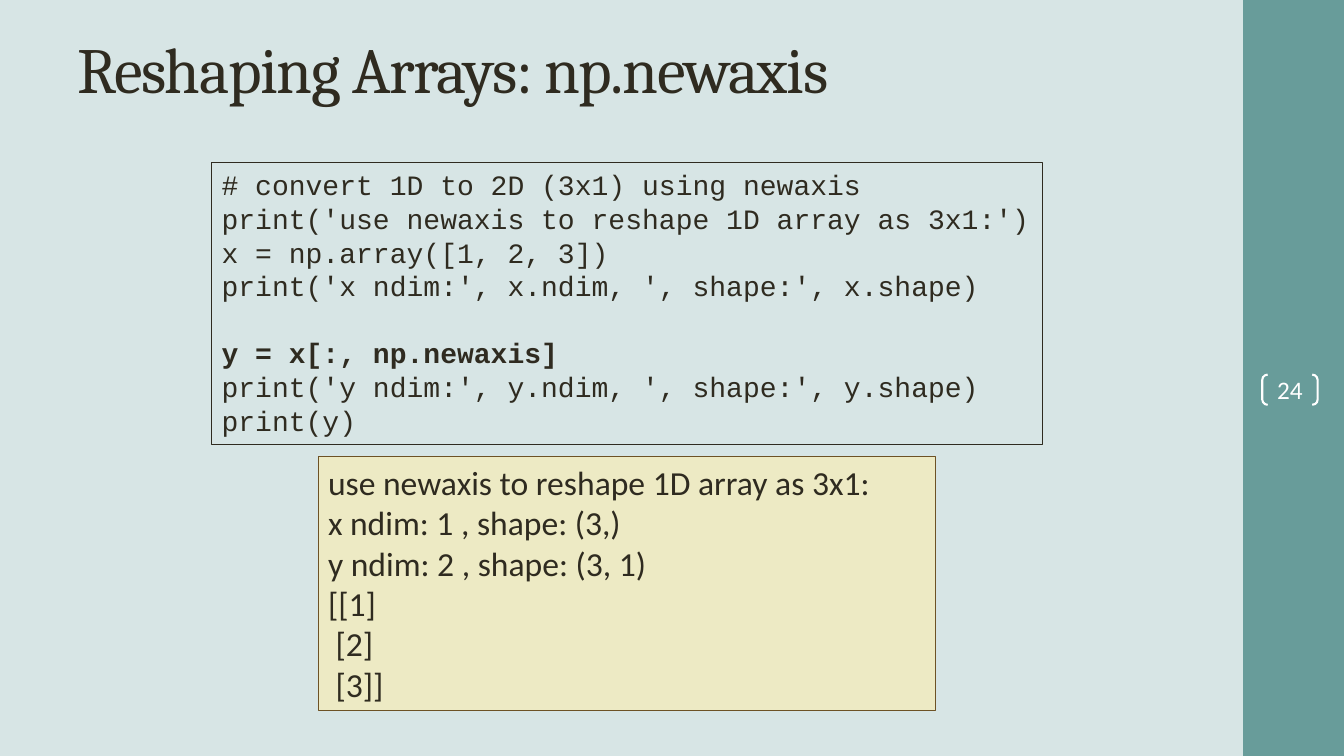
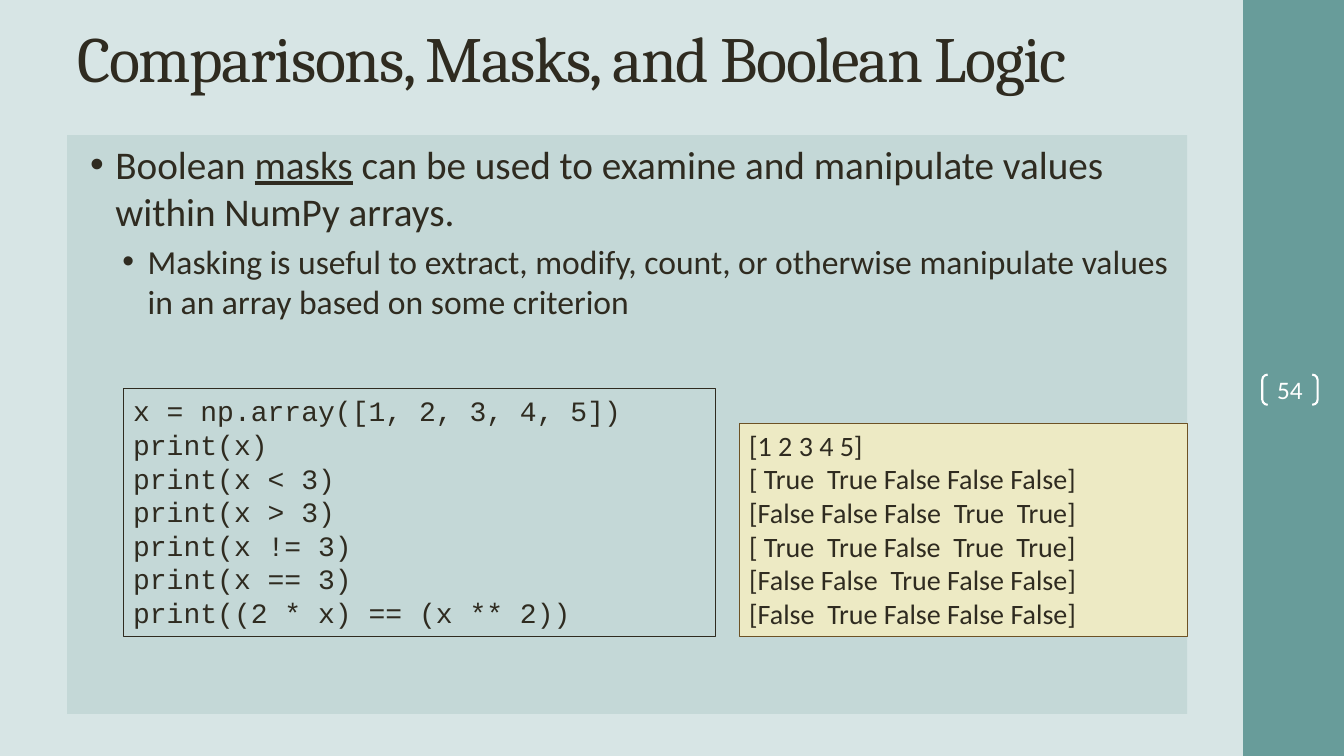
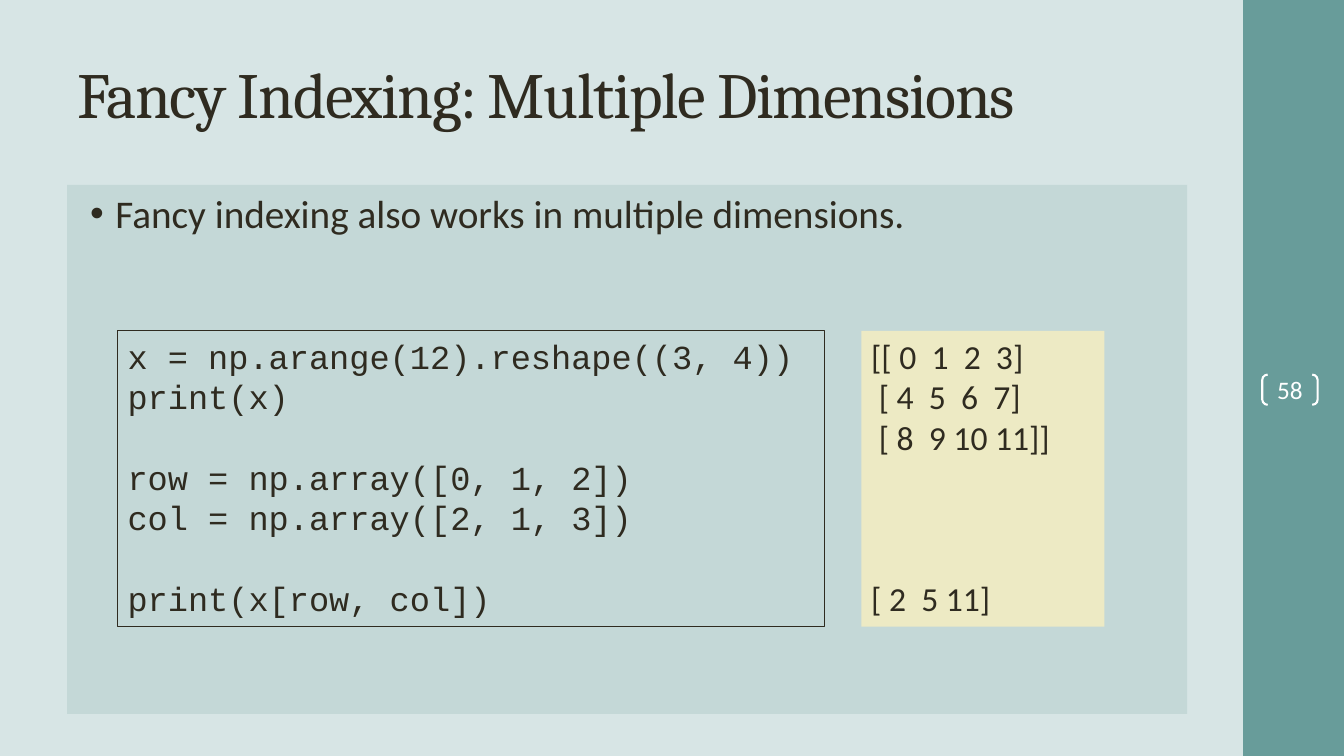
from dataclasses import dataclass

import lxml.etree
import pptx
import pptx.dml.color
import pptx.enum.shapes
import pptx.enum.text
import pptx.oxml.ns
import pptx.util

COLORS = {
    "page": "D7E5E5",
    "band": "689C9A",
    "panel": "C4D8D7",
    "output": "EDEAC4",
    "output_line": "6D5225",
    "ink": "2F2B20",
    "white": "FFFFFF",
}
TITLE_FONT, BODY_FONT, CODE_FONT = "Cambria", "Calibri", "Courier New"
WIDTH, HEIGHT = pptx.util.Inches(13.33), pptx.util.Inches(7.5)
COLUMNS, ROWS = 120, 90
MARGIN, CONTENT_WIDTH, CONTENT_BOTTOM = 6, 100, 85
LINE_HEIGHT = 1.2
BULLET_SIZES = (28, 24)
BULLET_INDENTS = (0.38, 0.7)
BULLET_HANG = 0.25
SHAPE = pptx.enum.shapes.MSO_SHAPE
ANCHOR = pptx.enum.text.MSO_ANCHOR
ALIGN = pptx.enum.text.PP_ALIGN


@dataclass(frozen=True)
class Area:
    """Left, top, width and height in grid columns and rows."""
    left: float
    top: float
    width: float
    height: float

    def lengths(self) -> tuple[int, int, int, int]:
        return (round(self.left * WIDTH / COLUMNS), round(self.top * HEIGHT / ROWS),
                round(self.width * WIDTH / COLUMNS), round(self.height * HEIGHT / ROWS))


@dataclass(frozen=True)
class Listing:
    """A box of code or of printed output; empty lines become gaps."""
    area: Area
    size: int
    text: str
    font: str = CODE_FONT
    fill: str | None = None
    line: str | None = "ink"
    bold_line: str = ""


@dataclass(frozen=True)
class Bullet:
    level: int
    spans: tuple[str, ...]
    underlined: str = ""


@dataclass(frozen=True)
class Page:
    title: str
    title_top: float
    title_height: float
    number: int
    listings: tuple[Listing, ...]
    bullets: tuple[Bullet, ...] = ()
    panel_top: float = 0


PAGES = (
    Page("Reshaping Arrays: np.newaxis", 2, 12.2, 24, (
        Listing(Area(28.4, 54.4, 55.1, 30.2), 24,
                "use newaxis to reshape 1D array as 3x1:\n"
                "x ndim: 1 , shape: (3,)\n"
                "y ndim: 2 , shape: (3, 1)\n"
                "[[1]\n"
                " [2]\n"
                " [3]]",
                BODY_FONT, "output", "output_line"),
        Listing(Area(18.9, 19.4, 74.2, 33.5), 20,
                "# convert 1D to 2D (3x1) using newaxis\n"
                "print('use newaxis to reshape 1D array as 3x1:')\n"
                "x = np.array([1, 2, 3])\n"
                "print('x ndim:', x.ndim, ', shape:', x.shape)\n"
                "\n"
                "y = x[:, np.newaxis]\n"
                "print('y ndim:', y.ndim, ', shape:', y.shape)\n"
                "print(y)",
                bold_line="y = x[:, np.newaxis]"),
    )),
    Page("Comparisons, Masks, and Boolean Logic", 2.2, 9.2, 54, (
        Listing(Area(11, 46.3, 52.9, 29.5), 20,
                "x = np.array([1, 2, 3, 4, 5])\n"
                "print(x)\n"
                "print(x < 3)\n"
                "print(x > 3)\n"
                "print(x != 3)\n"
                "print(x == 3)\n"
                "print((2 * x) == (x ** 2))"),
        Listing(Area(66, 50.4, 40, 25.4), 20,
                "[1 2 3 4 5]\n"
                "[ True  True False False False]\n"
                "[False False False  True  True]\n"
                "[ True  True False  True  True]\n"
                "[False False  True False False]\n"
                "[False  True False False False]",
                BODY_FONT, "output", "output_line"),
    ), (
        Bullet(0, ("Boolean ", "masks", " can be used to examine and manipulate "
                   "values within NumPy arrays."), "masks"),
        Bullet(1, ("Masking is useful to extract, modify, count, or otherwise "
                   "manipulate values in an array based on some criterion",)),
    ), 16.1),
    Page("Fancy Indexing: Multiple Dimensions", 3.6, 15, 58, (
        Listing(Area(10.5, 39.4, 63.1, 35.2), 24,
                "x = np.arange(12).reshape((3, 4))\n"
                "print(x)\n"
                "\n"
                "row = np.array([0, 1, 2])\n"
                "col = np.array([2, 1, 3])\n"
                "\n"
                "print(x[row, col])"),
        Listing(Area(76.9, 39.4, 21.7, 35.2), 24,
                "[[ 0  1  2  3]\n"
                " [ 4  5  6  7]\n"
                " [ 8  9 10 11]]\n"
                "\n\n\n"
                "[ 2  5 11]",
                BODY_FONT, "output", None),
    ), (
        Bullet(0, ("Fancy indexing also works in multiple dimensions.",)),
    ), 22),
)


def color(name: str) -> pptx.dml.color.RGBColor:
    return pptx.dml.color.RGBColor.from_string(COLORS[name])


def format_runs(para, font: str, size: float, ink: str = "ink") -> None:
    for span in para.runs:
        span.font.name = font
        span.font.size = pptx.util.Pt(size)
        span.font.color.rgb = color(ink)


def add_box(slide, area: Area, fill: str | None = None, line: str | None = None,
            line_width: float = 0.75, kind=SHAPE.RECTANGLE):
    box = slide.shapes.add_shape(kind, *area.lengths())
    box.shadow.inherit = False
    if fill:
        box.fill.solid()
        box.fill.fore_color.rgb = color(fill)
    else:
        box.fill.background()
    if line:
        box.line.color.rgb = color(line)
        box.line.width = pptx.util.Pt(line_width)
    else:
        box.line.fill.background()
    box.text_frame.word_wrap = True
    box.text_frame.vertical_anchor = ANCHOR.TOP
    return box


def next_paragraph(frame, index: int, size: float, space: float):
    para = frame.add_paragraph() if index else frame.paragraphs[0]
    para.alignment = ALIGN.LEFT
    para.line_spacing = pptx.util.Pt(size * LINE_HEIGHT)
    if index:
        para.space_before = pptx.util.Pt(space)
    return para


def add_title(slide, page: Page) -> None:
    title = slide.shapes.title
    title.left, title.top, title.width, title.height = Area(
        MARGIN, page.title_top, CONTENT_WIDTH, page.title_height).lengths()
    frame = title.text_frame
    frame.text = page.title
    frame.word_wrap = True
    frame.auto_size = pptx.enum.text.MSO_AUTO_SIZE.NONE
    frame.vertical_anchor = ANCHOR.MIDDLE
    para = frame.paragraphs[0]
    para.alignment = ALIGN.LEFT
    format_runs(para, TITLE_FONT, 46)
    para.runs[0].font._element.set("spc", "-100")


def add_band(slide, number: int) -> None:
    add_box(slide, Area(111, 0, 9, ROWS), "band")
    bracket = add_box(slide, Area(112.7, 44.6, 4.95, 3.6), line="white",
                      line_width=1.5, kind=SHAPE.DOUBLE_BRACKET)
    bracket.adjustments[0] = 0.18
    frame = bracket.text_frame
    frame.margin_left = frame.margin_right = frame.margin_top = frame.margin_bottom = 0
    frame.vertical_anchor = ANCHOR.MIDDLE
    frame.text = str(number)
    frame.paragraphs[0].alignment = ALIGN.CENTER
    format_runs(frame.paragraphs[0], BODY_FONT, 18, "white")


def set_bullet(para, level: int) -> None:
    qn = pptx.oxml.ns.qn
    properties = para._p.get_or_add_pPr()
    properties.set("marL", str(pptx.util.Inches(BULLET_INDENTS[level])))
    properties.set("indent", str(-pptx.util.Inches(BULLET_HANG)))
    tint = lxml.etree.SubElement(properties, qn("a:buClr"))
    lxml.etree.SubElement(tint, qn("a:srgbClr")).set("val", COLORS["ink"])
    lxml.etree.SubElement(properties, qn("a:buFont")).set("typeface", "Arial")
    lxml.etree.SubElement(properties, qn("a:buChar")).set("char", "•")


def add_panel(slide, page: Page) -> None:
    area = Area(MARGIN, page.panel_top, CONTENT_WIDTH, CONTENT_BOTTOM - page.panel_top)
    frame = add_box(slide, area, "panel").text_frame
    for index, bullet in enumerate(page.bullets):
        size = BULLET_SIZES[bullet.level]
        para = next_paragraph(frame, index, size, 0.2 * size)
        para.level = bullet.level
        set_bullet(para, bullet.level)
        for text in bullet.spans:
            span = para.add_run()
            span.text = text
            if text == bullet.underlined:
                span.font.underline = True
        format_runs(para, BODY_FONT, size)


def add_listing(slide, listing: Listing) -> None:
    frame = add_box(slide, listing.area, listing.fill, listing.line).text_frame
    index = gap = 0
    for text in listing.text.split("\n"):
        if not text:
            gap += 1
            continue
        para = next_paragraph(frame, index, listing.size,
                              gap * listing.size * LINE_HEIGHT)
        para.text = text
        format_runs(para, listing.font, listing.size)
        if text == listing.bold_line:
            para.runs[0].font.bold = True
        index, gap = index + 1, 0


def main() -> None:
    deck = pptx.Presentation()
    deck.slide_width, deck.slide_height = WIDTH, HEIGHT
    # Shared background
    background = deck.slide_master.background.fill
    background.solid()
    background.fore_color.rgb = color("page")
    layout = deck.slide_layouts.get_by_name("Title Only")
    # Slides
    for page in PAGES:
        slide = deck.slides.add_slide(layout)
        add_title(slide, page)
        add_band(slide, page.number)
        if page.bullets:
            add_panel(slide, page)
        for listing in page.listings:
            add_listing(slide, listing)
    deck.save("out.pptx")


if __name__ == "__main__":
    main()
